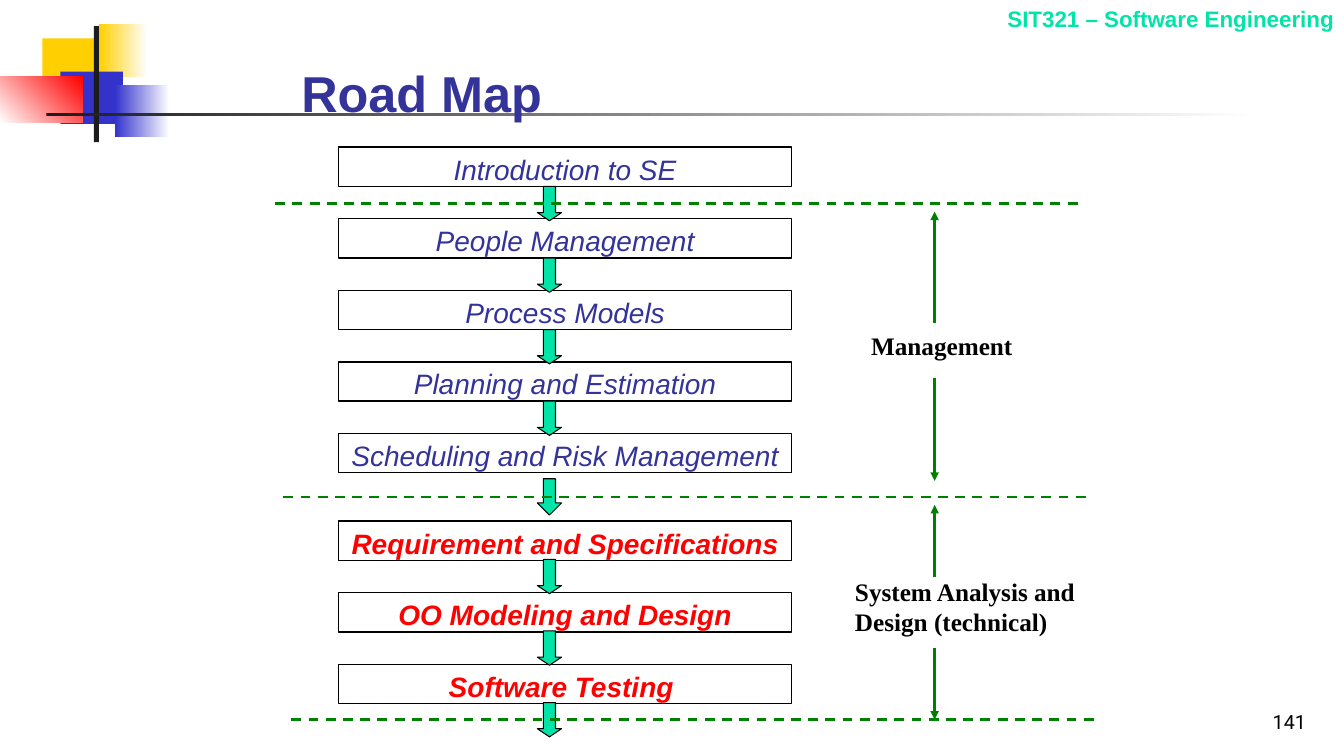
import pptx
import pptx.dml.color
import pptx.enum.dml
import pptx.enum.shapes
import pptx.enum.text
import pptx.oxml.ns
import pptx.util
from lxml import etree

PX = 9144  # EMU per px, 100 px to the inch
MSO_SHAPE = pptx.enum.shapes.MSO_SHAPE
ALIGN = pptx.enum.text.PP_ALIGN
ANCHOR = pptx.enum.text.MSO_ANCHOR

BLACK, CHARCOAL, WHITE = "000000", "1C1C1C", "FFFFFF"
YELLOW, BLUE, RED = "FFCF01", "3333CC", "FF0000"
NAVY, MINT, GREEN = "333399", "00E4A8", "008000"

MANAGEMENT_TOPICS = ["Introduction to SE", "People Management", "Process Models",
                     "Planning and Estimation", "Scheduling and Risk Management"]
TECHNICAL_TOPICS = ["Requirement and Specifications", "OO Modeling and Design",
                    "Software Testing "]
TOPIC_PITCH = 71


def color(hex_string):
    return pptx.dml.color.RGBColor.from_string(hex_string)


def lengths(*values):
    return [pptx.util.Emu(value * PX) for value in values]


def set_text(shape, text, size, font="Arial", text_color=BLACK, bold=False, italic=False,
             align=ALIGN.LEFT, anchor=ANCHOR.TOP, margins=(10, 5)):
    frame = shape.text_frame
    frame.word_wrap = True
    frame.vertical_anchor = anchor
    frame.margin_left = frame.margin_right = margins[0] * PX
    frame.margin_top = frame.margin_bottom = margins[1] * PX
    paragraph = frame.paragraphs[0]
    paragraph.alignment = align
    run = paragraph.add_run()
    run.text = text
    run.font.size = pptx.util.Pt(size)
    run.font.name = font
    run.font.bold = bold
    run.font.italic = italic
    run.font.color.rgb = color(text_color)


def add_text(slide, box, text, size, **text_format):
    set_text(slide.shapes.add_textbox(*lengths(*box)), text, size, **text_format)


def add_shape(slide, box, kind=MSO_SHAPE.RECTANGLE, fill=None, line=None, line_width=1):
    shape = slide.shapes.add_shape(kind, *lengths(*box))
    shape.shadow.inherit = False
    if fill:
        shape.fill.solid()
        shape.fill.fore_color.rgb = color(fill)
    else:
        shape.fill.background()
    if line:
        shape.line.color.rgb = color(line)
        shape.line.width = pptx.util.Pt(line_width)
    else:
        shape.line.fill.background()
    return shape


def add_gradient(slide, box, start, end, angle=0):
    """Add a borderless rectangle shaded from start to end; angle is counter-clockwise."""
    fill = add_shape(slide, box).fill
    fill.gradient()
    fill.gradient_angle = angle
    for stop, hex_string in zip(fill.gradient_stops, (start, end)):
        stop.color.rgb = color(hex_string)


def add_line(slide, start, end, width, dashed=False, arrow=False):
    connector = slide.shapes.add_connector(
        pptx.enum.shapes.MSO_CONNECTOR.STRAIGHT, *lengths(*start, *end))
    connector.line.color.rgb = color(GREEN)
    connector.line.width = pptx.util.Pt(width)
    if dashed:
        connector.line.dash_style = pptx.enum.dml.MSO_LINE.DASH
    properties = connector._element.spPr
    if arrow:
        line = properties.find(pptx.oxml.ns.qn("a:ln"))
        etree.SubElement(line, pptx.oxml.ns.qn("a:tailEnd"), type="triangle")
    etree.SubElement(properties, pptx.oxml.ns.qn("a:effectLst"))


def add_topics(slide, topics, top, text_color, bold):
    for row, topic in enumerate(topics):
        box = add_shape(slide, (336, top + row * TOPIC_PITCH, 449, 39), line=BLACK)
        set_text(box, topic, 20, text_color=text_color, bold=bold, italic=True,
                 align=ALIGN.CENTER)


def add_down_arrow(slide, top, height=34, head=0.335):
    arrow = add_shape(slide, (533, top, 24, height), MSO_SHAPE.DOWN_ARROW,
                      fill=MINT, line=BLACK, line_width=0.75)
    arrow.adjustments[0] = 0.5
    arrow.adjustments[1] = head


def add_decoration(slide):
    add_shape(slide, (42, 38, 64, 52), fill=YELLOW)
    add_gradient(slide, (98, 24, 48, 52), YELLOW, WHITE)
    add_shape(slide, (60, 71, 62, 52), fill=BLUE)
    add_gradient(slide, (114, 84, 54, 52), BLUE, WHITE)
    add_gradient(slide, (0, 76, 82, 46), WHITE, RED, angle=45)
    add_shape(slide, (93, 26, 5, 115), fill=CHARCOAL)
    add_gradient(slide, (46, 112, 1200, 3), CHARCOAL, WHITE)


def main():
    presentation = pptx.Presentation()
    presentation.slide_width, presentation.slide_height = lengths(1333, 750)
    slide = presentation.slides.add_slide(presentation.slide_layouts[6])

    add_decoration(slide)
    add_text(slide, (803, 0, 530, 37), "SIT321 – Software Engineering", 16,
             text_color=MINT, bold=True, align=ALIGN.RIGHT)
    add_text(slide, (1027, 683, 278, 50), "141", 14, font="Roboto",
             align=ALIGN.RIGHT, anchor=ANCHOR.BOTTOM)
    add_text(slide, (289, 52, 803, 75), "Road Map", 36, text_color=NAVY, bold=True,
             anchor=ANCHOR.BOTTOM)

    add_topics(slide, MANAGEMENT_TOPICS, 146, NAVY, bold=False)
    add_topics(slide, TECHNICAL_TOPICS, 517, RED, bold=True)
    for first_top, count in ((185, 4), (555, 3)):
        for row in range(count):
            add_down_arrow(slide, first_top + row * TOPIC_PITCH)
    add_down_arrow(slide, 475, height=36, head=0.5)

    for left, y in ((273, 202), (281, 493), (289, 714)):
        add_line(slide, (left, y), (left + 803, y), 1.75, dashed=True)
    for start, end in ((320, 210), (375, 477), (572, 501), (643, 714)):
        add_line(slide, (927, start), (927, end), 2, arrow=True)

    phase_format = dict(font="Times New Roman", bold=True, margins=(0, 0))
    add_text(slide, (864, 328, 173, 30), "Management", 18, **phase_format)
    add_text(slide, (848, 572, 252, 60), "System Analysis and Design (technical)", 18,
             **phase_format)

    presentation.save("out.pptx")


if __name__ == "__main__":
    main()
